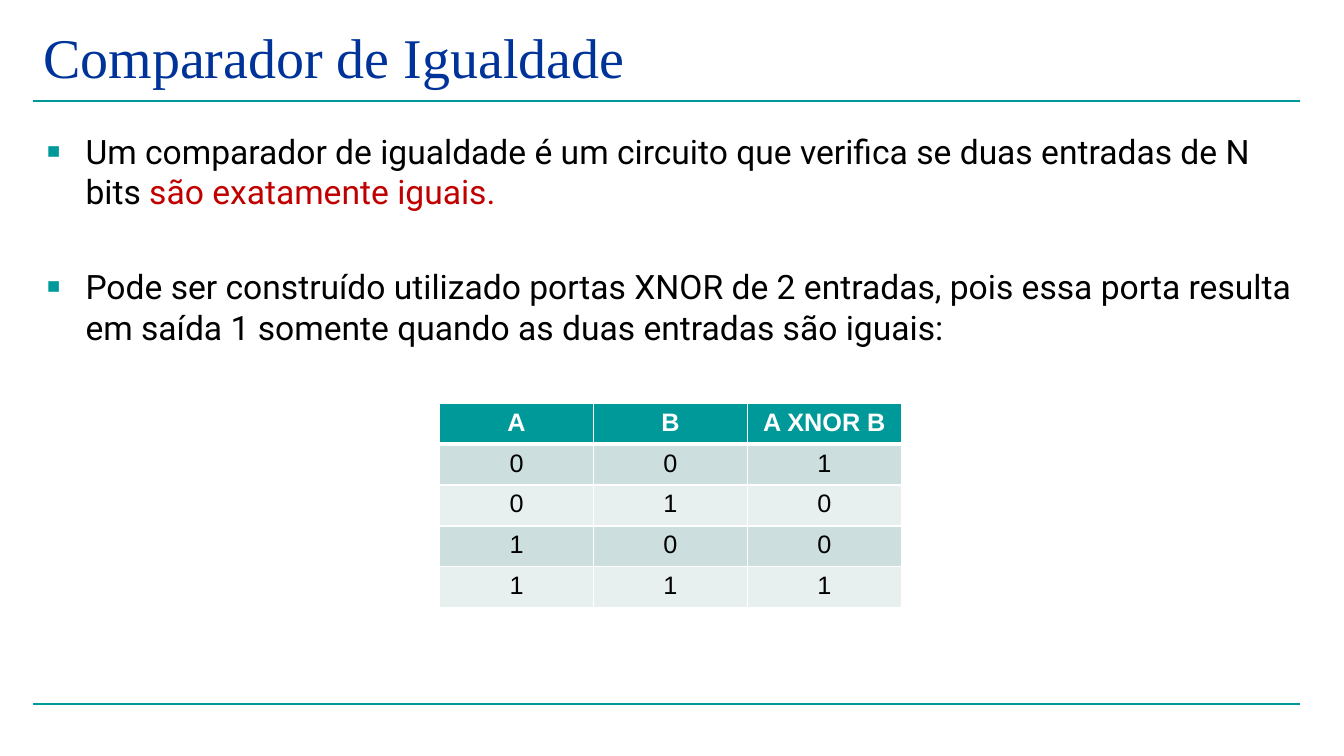
import pptx
import pptx.util
import pptx.dml.color
import pptx.enum.shapes
import pptx.enum.text
import pptx.oxml.ns
from lxml import etree

COLORS = {
    "teal": "009999",
    "navy": "003399",
    "red": "C00000",
    "black": "000000",
    "white": "FFFFFF",
    "odd_row": "CCDEDE",
    "even_row": "E7EFEF",
}
Inches = pptx.util.Inches
Pt = pptx.util.Pt
ALIGN = pptx.enum.text.PP_ALIGN
qn = pptx.oxml.ns.qn


def rgb(color):
    return pptx.dml.color.RGBColor.from_string(COLORS[color])


def write(paragraph, text, font="Arial", size=18, color="black", bold=False):
    run = paragraph.add_run()
    run.text = text
    run.font.name = font
    run.font.size = Pt(size)
    run.font.bold = bold
    run.font.color.rgb = rgb(color)


class SlideBuilder:
    title_style = {"font": "Times New Roman", "size": 40, "color": "navy"}
    body_style = {"font": "Roboto", "size": 24}

    def __init__(self, slide):
        self.slide = slide

    def rule(self, left, right, y):
        line = self.slide.shapes.add_connector(
            pptx.enum.shapes.MSO_CONNECTOR.STRAIGHT,
            Inches(left), Inches(y), Inches(right), Inches(y))
        line.line.color.rgb = rgb("teal")
        line.line.width = Pt(1.5)
        etree.SubElement(line._element.spPr, qn("a:effectLst"))

    def title(self, text, left, top, width, height):
        title = self.slide.shapes.title
        title.left, title.top = Inches(left), Inches(top)
        title.width, title.height = Inches(width), Inches(height)
        frame = title.text_frame
        frame.word_wrap = True
        frame.auto_size = pptx.enum.text.MSO_AUTO_SIZE.NONE
        frame.vertical_anchor = pptx.enum.text.MSO_ANCHOR.TOP
        frame.paragraphs[0].alignment = ALIGN.LEFT
        write(frame.paragraphs[0], text, **self.title_style)

    def bullets(self, items, left, top, width, height, gap):
        box = self.slide.shapes.add_textbox(
            Inches(left), Inches(top), Inches(width), Inches(height))
        frame = box.text_frame
        frame.word_wrap = True
        for index, parts in enumerate(items):
            paragraph = frame.add_paragraph() if index else frame.paragraphs[0]
            self.square_bullet(paragraph)
            paragraph.space_before = Pt(gap if index else 0)
            for text, color in parts:
                write(paragraph, text, color=color, **self.body_style)

    def square_bullet(self, paragraph):
        properties = paragraph._p.get_or_add_pPr()
        properties.set("marL", str(Inches(0.38)))
        properties.set("indent", str(Inches(-0.38)))
        color = etree.SubElement(properties, qn("a:buClr"))
        etree.SubElement(color, qn("a:srgbClr"), val=COLORS["teal"])
        etree.SubElement(properties, qn("a:buSzPct"), val="65000")
        etree.SubElement(properties, qn("a:buFont"), typeface="Arial")
        etree.SubElement(properties, qn("a:buChar"), char="■")

    def truth_table(self, rows, left, top, width, height):
        table = self.slide.shapes.add_table(
            len(rows), len(rows[0]), Inches(left), Inches(top),
            Inches(width), Inches(height)).table
        for row_index, row in enumerate(rows):
            header = row_index == 0
            fill = "teal" if header else "odd_row" if row_index % 2 else "even_row"
            for column_index, text in enumerate(row):
                cell = table.cell(row_index, column_index)
                cell.fill.solid()
                cell.fill.fore_color.rgb = rgb(fill)
                paragraph = cell.text_frame.paragraphs[0]
                paragraph.alignment = ALIGN.CENTER
                write(paragraph, text, bold=header,
                      color="white" if header else "black")
                self.borders(cell, top=3 if row_index == 1 else 1,
                             bottom=3 if header else 1)

    def borders(self, cell, top, bottom):
        properties = cell._tc.get_or_add_tcPr()
        widths = {"a:lnL": 1, "a:lnR": 1, "a:lnT": top, "a:lnB": bottom}
        for position, (side, width) in enumerate(widths.items()):
            border = etree.SubElement(properties, qn(side), w=str(Pt(width)))
            fill = etree.SubElement(border, qn("a:solidFill"))
            etree.SubElement(fill, qn("a:srgbClr"), val=COLORS["white"])
            properties.insert(position, border)


def main():
    presentation = pptx.Presentation()
    presentation.slide_width = Inches(13.33)
    presentation.slide_height = Inches(7.5)
    title_only = presentation.slide_layouts[5]
    builder = SlideBuilder(presentation.slides.add_slide(title_only))

    for y in (6.98, 1):
        builder.rule(0.33, 12.89, y)
    builder.title("Comparador de Igualdade", 0.33, 0.17, 12.56, 1.17)
    builder.bullets([
        [("Um comparador de igualdade é um circuito que verifica se duas "
          "entradas de N bits ", "black"),
         ("são exatamente iguais.", "red")],
        [("Pode ser construído utilizado portas XNOR de 2 entradas, pois essa "
          "porta resulta em saída 1 somente quando as duas entradas são "
          "iguais:", "black")],
    ], 0.37, 1.25, 12.56, 5.33, gap=39)

    inputs = [(a, b) for a in (0, 1) for b in (0, 1)]
    rows = [("A", "B", "A XNOR B")]
    rows += [(str(a), str(b), str(int(a == b))) for a, b in inputs]
    builder.truth_table(rows, 4.36, 4, 4.58, 2.03)
    presentation.save("out.pptx")


if __name__ == "__main__":
    main()
